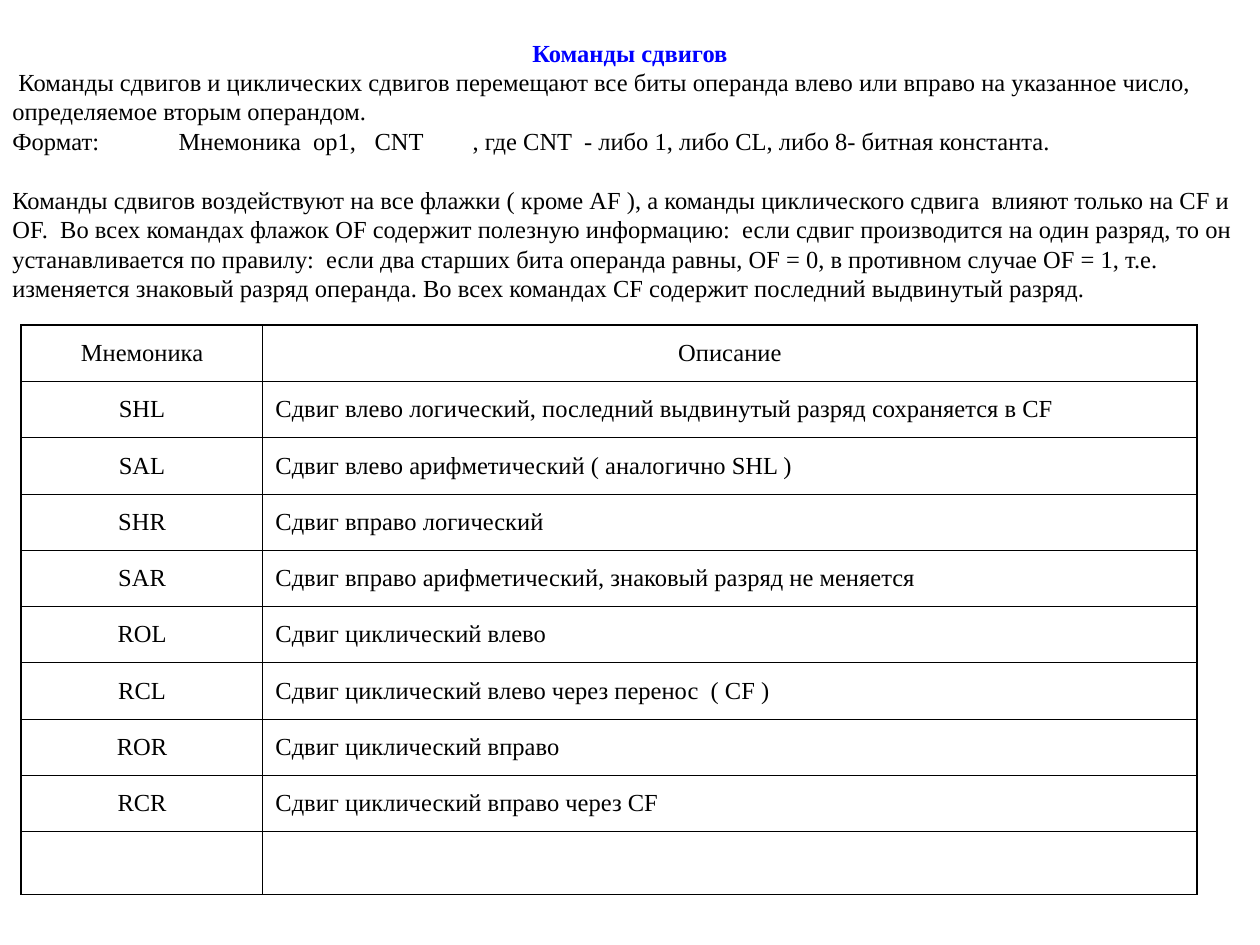
from dataclasses import dataclass

import pptx
import pptx.dml.color
import pptx.enum.text
import pptx.oxml.ns
import pptx.util
from lxml import etree

Pt = pptx.util.Pt
ALIGN = pptx.enum.text.PP_ALIGN


@dataclass(frozen=True)
class Theme:
    font: str = "Times New Roman"
    size: float = 14
    title: str = "0000FF"
    text: str = "000000"
    thin: float = 0.45
    thick: float = 1.08


THEME = Theme()

TITLE = "Команды сдвигов"
INTRO = (" Команды сдвигов и циклических сдвигов перемещают все биты операнда влево или вправо "
         "на указанное число, определяемое вторым операндом.")
FORMAT = "Формат:\tМнемоника  ор1,\tCNT\t, где CNT  - либо 1, либо CL, либо 8- битная константа."
FORMAT_TABS = (95, 207, 263)
FLAGS = ("Команды сдвигов воздействуют на все флажки ( кроме AF ), а команды циклического сдвига  "
         "влияют только на CF и OF.  Во всех командах флажок OF содержит полезную информацию:  "
         "если сдвиг производится на один разряд, то он устанавливается по правилу:  если два "
         "старших бита операнда равны, OF = 0, в противном случае OF = 1, т.е. изменяется знаковый "
         "разряд операнда. Во всех командах CF содержит последний выдвинутый разряд.")
COMMANDS = [
    ("Мнемоника", "Описание"),
    ("SHL", "Сдвиг влево логический, последний выдвинутый разряд сохраняется в CF"),
    ("SAL", "Сдвиг влево арифметический ( аналогично SHL )"),
    ("SHR", "Сдвиг вправо логический"),
    ("SAR", "Сдвиг вправо арифметический, знаковый разряд не меняется"),
    ("ROL", "Сдвиг циклический влево"),
    ("RCL", "Сдвиг циклический влево через перенос  ( CF )"),
    ("RОR", "Сдвиг циклический вправо"),
    ("RCR", "Сдвиг циклический вправо через CF"),
    ("", ""),
]


def style_paragraph(paragraph, color=THEME.text, bold=False, align=ALIGN.LEFT, before=0):
    paragraph.alignment = align
    paragraph.space_before = Pt(before)
    paragraph.font.name = THEME.font
    paragraph.font.size = Pt(THEME.size)
    paragraph.font.bold = bold
    paragraph.font.color.rgb = pptx.dml.color.RGBColor.from_string(color)


def set_tab_stops(paragraph, positions):
    properties = paragraph._p.get_or_add_pPr()
    tab_list = etree.Element(pptx.oxml.ns.qn("a:tabLst"))
    for position in positions:
        etree.SubElement(tab_list, pptx.oxml.ns.qn("a:tab"), pos=str(Pt(position)), algn="l")
    properties.find(pptx.oxml.ns.qn("a:defRPr")).addprevious(tab_list)


def set_borders(cell, widths):
    """Draw the cell's left, right, top and bottom borders, in that order."""
    properties = cell._tc.get_or_add_tcPr()
    for index, (side, width) in enumerate(zip("LRTB", widths)):
        line = etree.Element(pptx.oxml.ns.qn(f"a:ln{side}"), w=str(Pt(width)))
        fill = etree.SubElement(line, pptx.oxml.ns.qn("a:solidFill"))
        etree.SubElement(fill, pptx.oxml.ns.qn("a:srgbClr"), val=THEME.text)
        properties.insert(index, line)


def add_explanation(slide, left, top, width, height):
    frame = slide.shapes.add_textbox(Pt(left), Pt(top), Pt(width), Pt(height)).text_frame
    frame.word_wrap = True
    line_height = 1.2 * THEME.size
    paragraphs = [
        (TITLE, dict(color=THEME.title, bold=True, align=ALIGN.CENTER)),
        (INTRO, {}),
        (FORMAT, {}),
        (FLAGS, dict(before=line_height)),
    ]
    frame.text = "\n".join(text for text, _ in paragraphs)
    for paragraph, (text, style) in zip(frame.paragraphs, paragraphs):
        style_paragraph(paragraph, **style)
        paragraph.line_spacing = Pt(line_height)
        if text == FORMAT:
            set_tab_stops(paragraph, FORMAT_TABS)


def add_command_table(slide, left, top, width, height):
    mnemonic_width, last_height = 138, 36
    last = len(COMMANDS) - 1
    table = slide.shapes.add_table(len(COMMANDS), 2, Pt(left), Pt(top), Pt(width), Pt(height)).table
    table.first_row = table.horz_banding = False
    table.columns[0].width = Pt(mnemonic_width)
    table.columns[1].width = Pt(width - mnemonic_width)
    for row, texts in enumerate(COMMANDS):
        table.rows[row].height = Pt(last_height if row == last else (height - last_height) / last)
        for column, text in enumerate(texts):
            cell = table.cell(row, column)
            cell.text = text
            cell.vertical_anchor = pptx.enum.text.MSO_ANCHOR.MIDDLE
            cell.fill.background()
            centred = row == 0 or column == 0
            style_paragraph(cell.text_frame.paragraphs[0], before=3.5,
                            align=ALIGN.CENTER if centred else ALIGN.LEFT)
            outer = (column == 0, column == 1, row == 0, row == last)
            set_borders(cell, [THEME.thick if edge else THEME.thin for edge in outer])


def main():
    presentation = pptx.Presentation()
    presentation.slide_width, presentation.slide_height = Pt(720), Pt(540)
    slide = presentation.slides.add_slide(presentation.slide_layouts[6])
    add_explanation(slide, 0, 18, 720, 204.5)
    add_command_table(slide, 12.2, 185.8, 671.8, 325.4)
    presentation.save("out.pptx")


if __name__ == "__main__":
    main()
